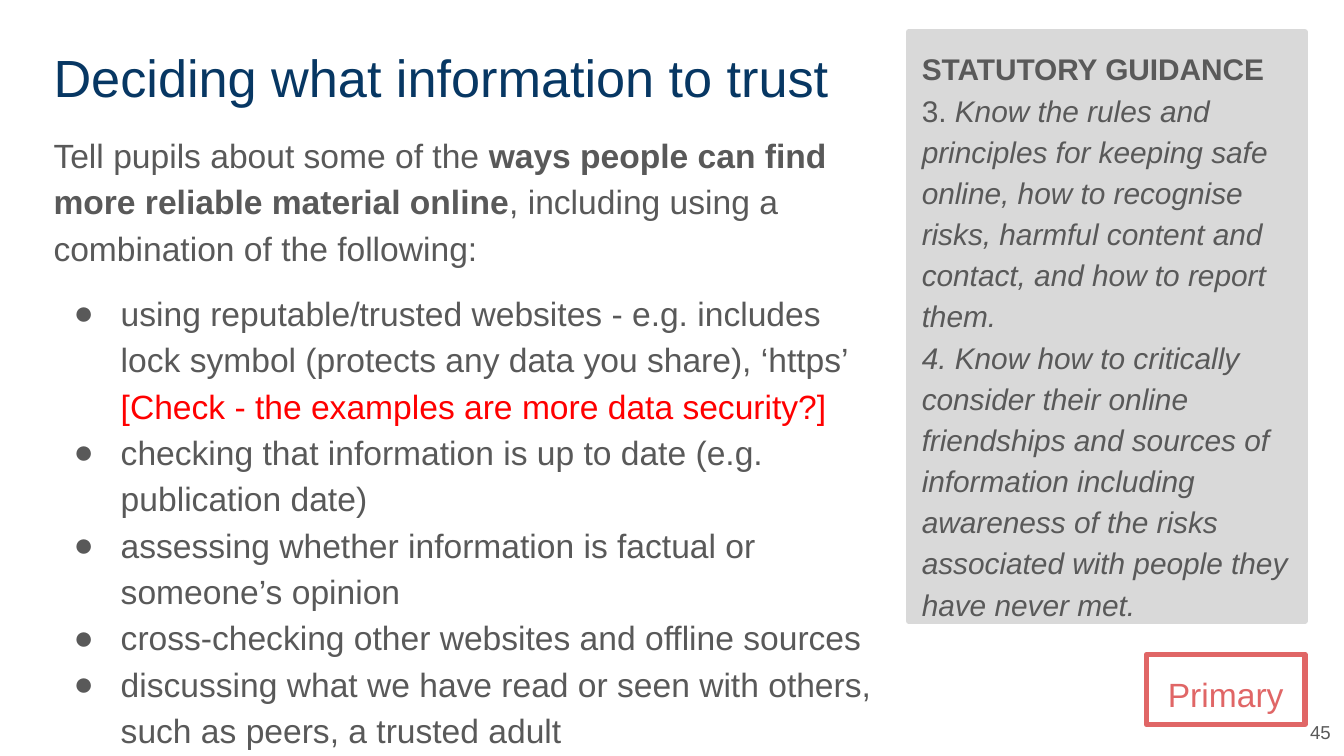
from lxml import etree
from pptx import Presentation
from pptx.dml.color import RGBColor
from pptx.enum.shapes import MSO_SHAPE as Shape
from pptx.enum.text import MSO_ANCHOR as Anchor, PP_ALIGN as Align
from pptx.oxml.ns import qn
from pptx.util import Inches, Pt

FONT = "Arial"
NAVY, GREY, RED, CORAL, PALE = "073763", "595959", "FF0000", "E06666", "D9D9D9"

TITLE = [[("Deciding what information to trust", {})]]
INTRO = [
    ("Tell pupils about some of the ", {}),
    ("ways people can find more reliable material online", {"bold": True}),
    (", including using a combination of the following:", {}),
]
BULLETS = [
    [
        ("using reputable/trusted websites - e.g. includes lock symbol (protects any data you share), ‘https’ ", {}),
        ("[Check - the examples are more data security?]", {"color": RED}),
    ],
    [("checking that information is up to date (e.g. publication date)", {})],
    [("assessing whether information is factual or someone’s opinion", {})],
    [("cross-checking other websites and offline sources", {})],
    [("discussing what we have read or seen with others, such as peers, a trusted adult", {})],
]
GUIDANCE = [[
    ("STATUTORY GUIDANCE\n", {"bold": True}),
    ("3. ", {}),
    ("Know the rules and principles for keeping safe online, how to recognise risks, "
     "harmful content and contact, and how to report them. \n"
     "4. Know how to critically consider their online friendships and sources of "
     "information including awareness of the risks associated with people they have never met.",
     {"italic": True}),
]]
PHASE = [[("Primary", {})]]
PAGE_NUMBER = [[("45", {})]]

SLIDE_WIDTH = Inches(10)
SLIDE_HEIGHT = SLIDE_WIDTH * 9 // 16
LEFT, TOP, TEXT_WIDTH = 0.3, 0.24, 6.41
PANEL_LEFT, PANEL_WIDTH = 6.76, 2.95
TAG_WIDTH = 1.18
TAG_LEFT = PANEL_LEFT + PANEL_WIDTH - TAG_WIDTH


def rgb(color):
    return RGBColor.from_string(color)


def add_bullet(paragraph):
    properties = paragraph._p.get_or_add_pPr()
    properties.set("marL", str(Inches(0.5)))
    properties.set("indent", str(Inches(-0.35)))
    bullet_color = etree.SubElement(properties, qn("a:buClr"))
    etree.SubElement(bullet_color, qn("a:srgbClr"), val=GREY)
    etree.SubElement(properties, qn("a:buFont"), typeface=FONT)
    etree.SubElement(properties, qn("a:buChar"), char="●")


def write(shape, paragraphs, size=18, color=GREY, align=Align.LEFT,
          anchor=Anchor.TOP, spacing=1.15, first_bullet=None):
    frame = shape.text_frame
    frame.word_wrap = True
    frame.vertical_anchor = anchor
    frame.margin_left = frame.margin_right = Inches(0.1)
    frame.margin_top = frame.margin_bottom = Inches(0.1)
    for index, runs in enumerate(paragraphs):
        paragraph = frame.add_paragraph() if index else frame.paragraphs[0]
        paragraph.alignment = align
        paragraph.line_spacing = spacing
        paragraph.space_before = Pt(10 if index == first_bullet else 0)
        if first_bullet is not None and index >= first_bullet:
            add_bullet(paragraph)
        for text, style in runs:
            for line_index, line in enumerate(text.split("\n")):
                if line_index:
                    paragraph.add_line_break()
                if not line:
                    continue
                run = paragraph.add_run()
                run.text = line
                font = run.font
                font.name, font.size = FONT, Pt(size)
                font.bold = style.get("bold", False)
                font.italic = style.get("italic", False)
                font.color.rgb = rgb(style.get("color", color))


def add_text(slide, box, paragraphs, **text_format):
    write(slide.shapes.add_textbox(*map(Inches, box)), paragraphs, **text_format)


def add_box(slide, box, paragraphs, line, fill=None, **text_format):
    shape = slide.shapes.add_shape(Shape.RECTANGLE, *map(Inches, box))
    shape.shadow.inherit = False
    if fill:
        shape.fill.solid()
        shape.fill.fore_color.rgb = rgb(fill)
    else:
        shape.fill.background()
    shape.line.color.rgb = rgb(line)
    shape.line.width = Pt(3)
    outline = shape.element.spPr.find(qn("a:ln"))
    etree.SubElement(outline, qn("a:round"))
    write(shape, paragraphs, **text_format)


def main():
    presentation = Presentation()
    presentation.slide_width, presentation.slide_height = SLIDE_WIDTH, SLIDE_HEIGHT
    slide = presentation.slides.add_slide(presentation.slide_layouts[6])

    add_text(slide, (LEFT, TOP, TEXT_WIDTH, 0.63), TITLE, size=28, color=NAVY, spacing=1.0)
    add_text(slide, (LEFT, 0.86, TEXT_WIDTH, 4.01), [INTRO, *BULLETS], first_bullet=1)
    add_text(slide, (9.61, 5.26, 0.39, 0.37), PAGE_NUMBER, size=10, align=Align.RIGHT,
             anchor=Anchor.MIDDLE, spacing=1.0)
    add_box(slide, (PANEL_LEFT, TOP, PANEL_WIDTH, 4.38), GUIDANCE, PALE, fill=PALE, size=16)
    add_box(slide, (TAG_LEFT, 4.87, TAG_WIDTH, 0.52), PHASE, CORAL, color=CORAL,
            align=Align.CENTER)

    presentation.save("out.pptx")


if __name__ == "__main__":
    main()
